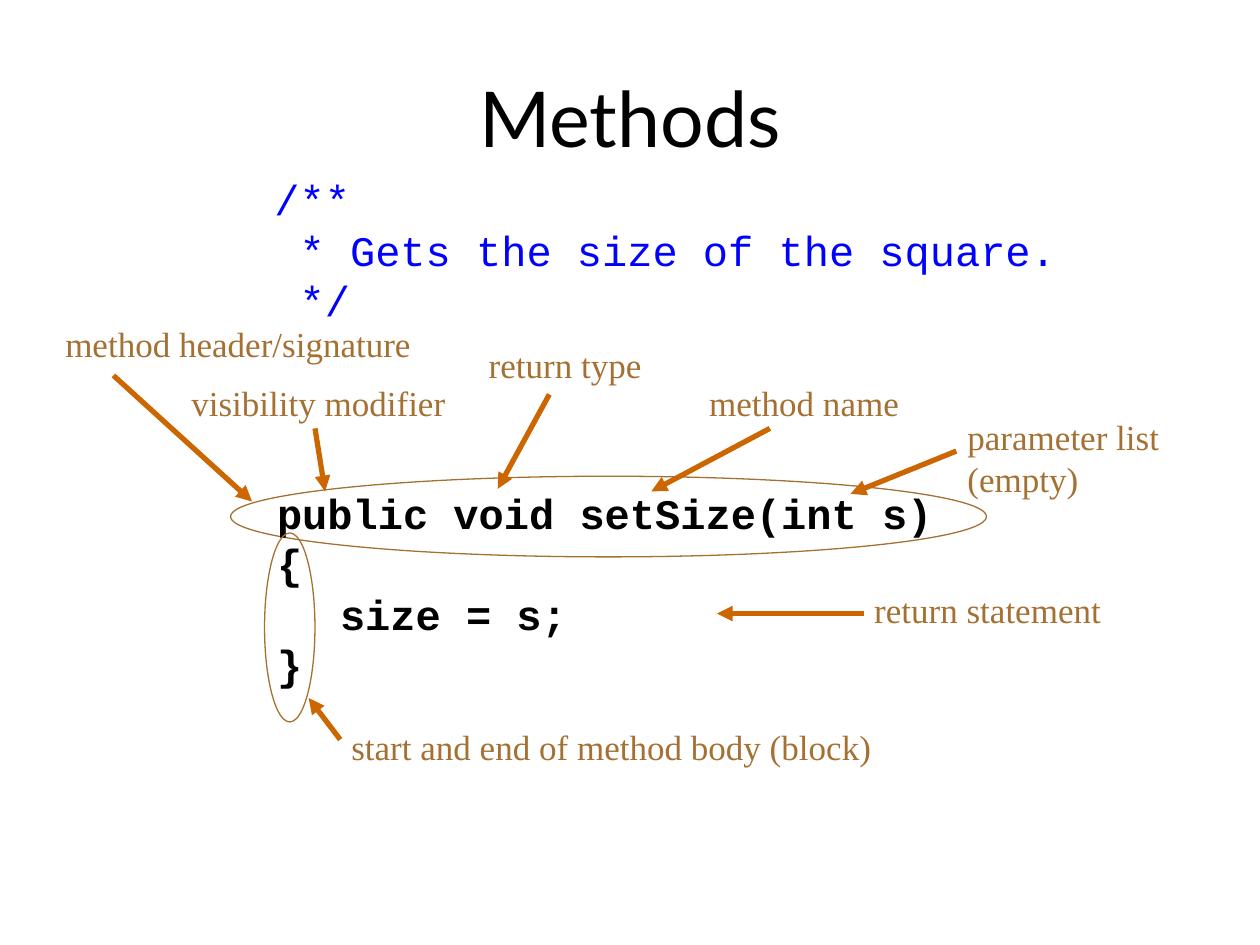
from lxml import etree
from pptx import Presentation
from pptx import util as u
from pptx.dml.color import RGBColor
from pptx.enum import shapes, text
from pptx.oxml import ns

CELL = u.Inches(0.1)
COLUMNS, ROWS = 100, 75
COLORS = {"comment": "0000FF", "code": "000000", "label": "A57133", "arrow": "CC6600"}
CODE_FONT, LABEL_FONT, TITLE_FONT = "Courier New", "Times New Roman", "Lato"

COMMENT = "/**\n * Gets the size of the square.\n */"
METHOD = "public void setSize(int s)\n{\n\tsize = s;\n}"

LABELS = [
    ("return type", (37.8, 26.8, 17.2, 4.3), True),
    ("method name", (55.3, 29.8, 19.1, 4.3), False),
    ("parameter list (empty)", (75.8, 32.5, 22.6, 7.7), True),
    ("start and end of method body (block)", (26.9, 57.1, 49.8, 4.3), True),
    ("return statement", (68.4, 46.2, 23.4, 4.3), False),
    ("visibility modifier", (14.2, 29.8, 23.9, 4.3), False),
    ("method header/signature", (4.2, 25.1, 29.7, 4.4), False),
]
ARROWS = [
    ((27, 58.7), (24.5, 55.4)),
    ((43.6, 31.3), (39.5, 38.8)),
    ((61.1, 34), (51.7, 39)),
    ((75.9, 35.8), (67.5, 39.2)),
    ((68.6, 48.7), (56.9, 48.7)),
    ((25, 34), (25.8, 39)),
    ((9, 29.8), (20, 39.8)),
]


def cells(*counts):
    return [round(count * CELL) for count in counts]


def color(name):
    return RGBColor.from_string(COLORS[name])


def format_text(frame, font, size, name, bold=False):
    for para in frame.paragraphs:
        for span in para.runs:
            span.font.name = font
            span.font.size = u.Pt(size)
            span.font.bold = bold
            span.font.color.rgb = color(name)


def set_title(page, words):
    title = page.shapes.title
    title.left, title.top, title.width, title.height = cells(5, 3, 90, 12.5)
    frame = title.text_frame
    frame.text = words
    frame.vertical_anchor = text.MSO_ANCHOR.MIDDLE
    frame.paragraphs[0].alignment = text.PP_ALIGN.CENTER
    format_text(frame, TITLE_FONT, 44, "code")


def add_text(page, words, place, font, size, name, wrap=False, bold=False):
    box = page.shapes.add_textbox(*cells(*place))
    frame = box.text_frame
    frame.text = words
    frame.word_wrap = wrap
    frame.auto_size = text.MSO_AUTO_SIZE.SHAPE_TO_FIT_TEXT
    format_text(frame, font, size, name, bold)
    return box


def set_tab(box, columns):
    for para in box.text_frame.paragraphs:
        properties = para._p.get_or_add_pPr()
        stops = etree.SubElement(properties, ns.qn("a:tabLst"))
        etree.SubElement(stops, ns.qn("a:tab"), pos=str(cells(columns)[0]), algn="l")


def add_ring(page, place):
    ring = page.shapes.add_shape(shapes.MSO_SHAPE.OVAL, *cells(*place))
    ring.shadow.inherit = False
    ring.fill.background()
    ring.line.color.rgb = color("label")
    ring.line.width = u.Pt(0.75)


def add_arrow(page, start, end):
    arrow = page.shapes.add_connector(
        shapes.MSO_CONNECTOR.STRAIGHT, *cells(*start, *end))
    arrow.line.color.rgb = color("arrow")
    arrow.line.width = u.Pt(3)
    etree.SubElement(arrow.line._get_or_add_ln(), ns.qn("a:tailEnd"), type="triangle")
    etree.SubElement(arrow._element.spPr, ns.qn("a:effectLst"))


def main():
    deck = Presentation()
    deck.slide_width, deck.slide_height = cells(COLUMNS, ROWS)
    page = deck.slides.add_slide(deck.slide_layouts.get_by_name("Title Only"))

    set_title(page, "Methods")
    add_text(page, COMMENT, (20.8, 13.3, 64.6, 13.1), CODE_FONT, 24, "comment")
    add_ring(page, (18.3, 37.8, 60, 6.4))
    method = add_text(page, METHOD, (21, 38.2, 54.5, 17.2), CODE_FONT, 24, "code", bold=True)
    set_tab(method, 5)
    add_ring(page, (21, 42.3, 4, 15))
    for words, place, wrap in LABELS:
        add_text(page, words, place, LABEL_FONT, 20, "label", wrap)
    for start, end in ARROWS:
        add_arrow(page, start, end)

    deck.save("out.pptx")


if __name__ == "__main__":
    main()
